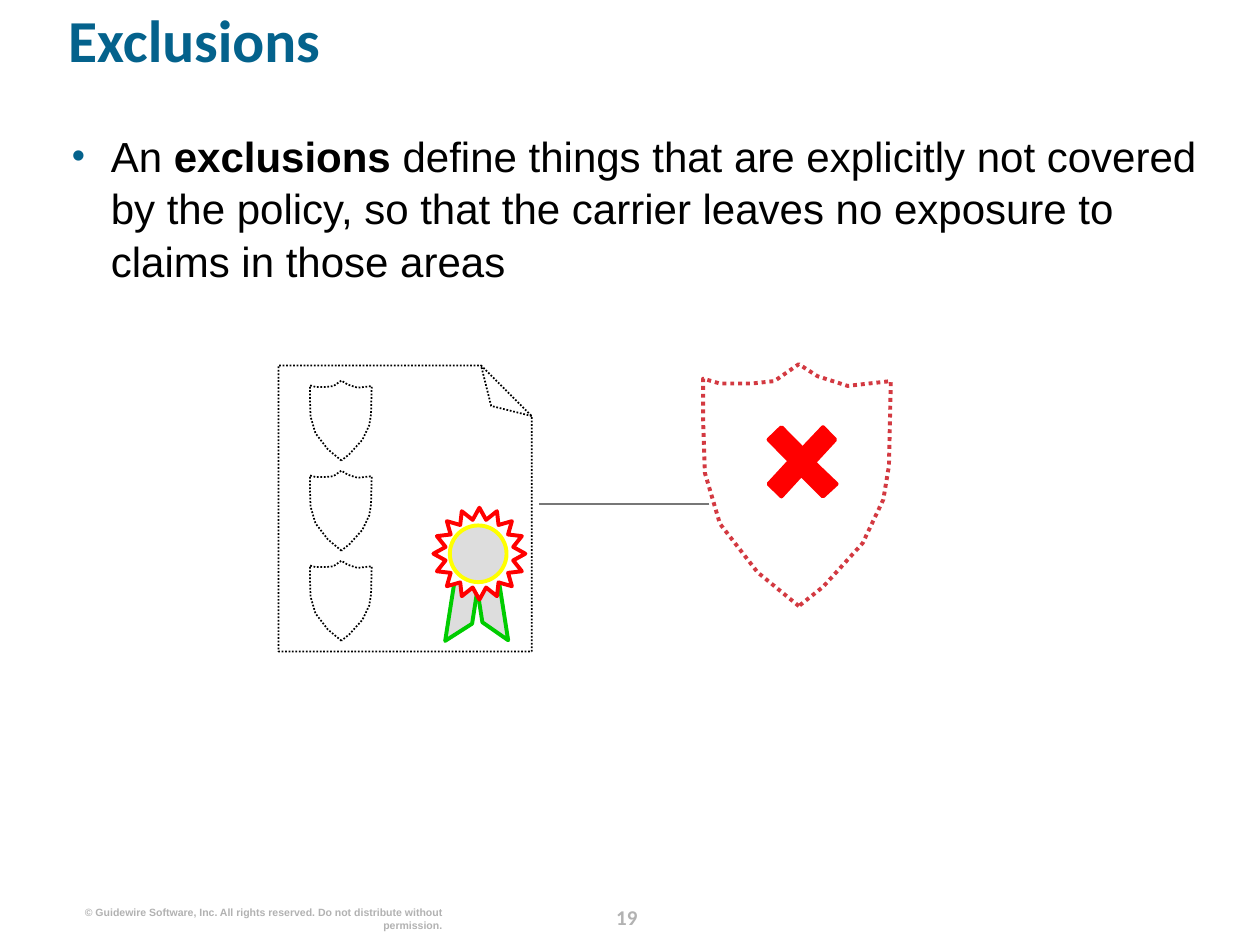
import pptx
import pptx.util
import pptx.dml.color
import pptx.enum.dml
import pptx.enum.shapes
import pptx.enum.text
import pptx.oxml
import pptx.oxml.ns

WIDE, HIGH = 10, 7.5
KIND = pptx.enum.shapes.MSO_SHAPE
SIDE = pptx.enum.text.PP_ALIGN
SPACE = pptx.oxml.ns.nsdecls("a")
NAVY, GREY, BLACK = "04628C", "B2B2B2", "000000"
RED, GREEN, SILVER = "FF0000", "00CC00", "DDDDDD"

TITLE = [("Exclusions", True)]
BODY = [
    ("An", False),
    (" exclusions", True),
    (" define things that are explicitly not covered by the policy, so that "
     "the carrier leaves no exposure to claims in those areas", False),
]
RIGHTS = [("© Guidewire Software, Inc. All rights reserved. "
           "Do not distribute without permission.", True)]
PAGE = [("19", True)]

SHIELD = [(51, 100), (29, 86), (9, 66), (1, 45), (0, 23), (0, 6), (9, 8),
          (26, 8), (38, 7), (51, 0), (61, 5), (77, 9), (100, 7), (99, 42),
          (96, 56), (85, 74), (64, 92)]
CROSS = [(50, 31), (80, 0), (98, 18), (67, 51), (100, 82), (80, 100),
         (48, 69), (19, 100), (0, 82), (31, 49), (0, 18), (19, 0)]

PARTS = [
    (KIND.PARALLELOGRAM, (3.34, 4.67, 0.68, 0.19), 278.9, True, 0.88, SILVER, GREEN),
    (KIND.PARALLELOGRAM, (3.54, 4.66, 0.7, 0.18), 81.1, False, 0.96, SILVER, GREEN),
    (KIND.STAR_16_POINT, (3.44, 4.03, 0.73, 0.73), 0, False, 0.375, "FFFFFF", RED),
    (KIND.OVAL, (3.57, 4.17, 0.45, 0.45), 0, False, None, SILVER, "FFFF00"),
]
PAPER = (2.08, 3.03, 2.27, 2.01)
LARGE = (5.58, 2.89, 1.49, 1.92)
SMALL = (2.46, 3.02, 0.49, 0.635)
ROWS, PITCH = 3, 0.715

deck = pptx.Presentation()
deck.slide_width = pptx.util.Inches(WIDE)
deck.slide_height = pptx.util.Inches(HIGH)
slide = deck.slides.add_slide(deck.slide_layouts[6])


def inch(box):
    return [pptx.util.Inches(n) for n in box]


def tint(code):
    return pptx.dml.color.RGBColor.from_string(code)


def paint(shape, fill, line, width=2.25, dots=False):
    shape.shadow.inherit = False
    if fill:
        shape.fill.solid()
        shape.fill.fore_color.rgb = tint(fill)
    else:
        shape.fill.background()
    shape.line.color.rgb = tint(line)
    shape.line.width = pptx.util.Pt(width)
    if dots:
        shape.line.dash_style = pptx.enum.dml.MSO_LINE.ROUND_DOT


def write(box, runs, size, face, code, align=SIDE.LEFT, pitch=None):
    frame = slide.shapes.add_textbox(*inch(box)).text_frame
    frame.word_wrap = True
    frame.margin_left = frame.margin_right = 0
    frame.margin_top = frame.margin_bottom = 0
    para = frame.paragraphs[0]
    para.alignment = align
    if pitch:
        para.line_spacing = pitch
    for text, bold in runs:
        run = para.add_run()
        run.text = text
        run.font.size = pptx.util.Pt(size)
        run.font.name = face
        run.font.bold = bold
        run.font.color.rgb = tint(code)
    return para


def bullet(para, code, share, indent):
    props = para._p.get_or_add_pPr()
    step = pptx.util.Inches(indent)
    props.set("marL", str(step))
    props.set("indent", str(-step))
    for mark in (
        f'<a:buClr {SPACE}><a:srgbClr val="{code}"/></a:buClr>',
        f'<a:buSzPct {SPACE} val="{share * 1000}"/>',
        f'<a:buFont {SPACE} typeface="Arial"/>',
        f'<a:buChar {SPACE} char="•"/>',
    ):
        props.append(pptx.oxml.parse_xml(mark))


def outline(points, box):
    left, top, wide, high = inch(box)
    spots = [(left + wide * x / 100, top + high * y / 100) for x, y in points]
    form = slide.shapes.build_freeform(*spots[0])
    form.add_line_segments(spots[1:], close=True)
    return form.convert_to_shape()


def preset(kind, box, turn, flip, adjust):
    shape = slide.shapes.add_shape(kind, *inch(box))
    shape.rotation = turn
    if flip:
        shape._element.spPr.xfrm.set("flipH", "1")
    if adjust is not None:
        geom = shape._element.spPr.find(pptx.oxml.ns.qn("a:prstGeom"))
        for old in list(geom):
            geom.remove(old)
        geom.append(pptx.oxml.parse_xml(
            f'<a:avLst {SPACE}><a:gd name="adj" '
            f'fmla="val {round(adjust * 100000)}"/></a:avLst>'))
    return shape


write((4.69, 7.13, 0.57, 0.25), PAGE, 12, "Calibri", GREY, SIDE.CENTER, pptx.util.Pt(18))
write((0.61, 7.19, 2.9, 0.2), RIGHTS, 6, "Arial", GREY, SIDE.RIGHT)
write((0.54, 0.13, 9.1, 0.81), TITLE, 34, "Calibri", NAVY, pitch=0.8)
lead = write((0.57, 1.02, 9.1, 6), BODY, 24, "Arial", BLACK, pitch=1.04)
bullet(lead, NAVY, 90, 0.31)

paint(outline(SHIELD, LARGE), "FFFFFF", "D33941", dots=True)
for kind, box, turn, flip, adjust, fill, line in PARTS:
    paint(preset(kind, box, turn, flip, adjust), fill, line)
paint(preset(KIND.FOLDED_CORNER, PAPER, 270, False, 0.2), None, BLACK, 1, True)
for row in range(ROWS):
    left, top, wide, high = SMALL
    spot = (left, top + row * PITCH, wide, high)
    paint(outline(SHIELD, spot), None, BLACK, 1, True)
paint(outline(CROSS, (6.1, 3.39, 0.54, 0.55)), RED, RED)

link = slide.shapes.add_connector(
    pptx.enum.shapes.MSO_CONNECTOR.STRAIGHT, *inch((5.63, 4, 4.28, 4)))
link.line.color.rgb = tint("777777")
link.line.width = pptx.util.Pt(1)
link._element.spPr.append(pptx.oxml.parse_xml(f"<a:effectLst {SPACE}/>"))

deck.save("out.pptx")
